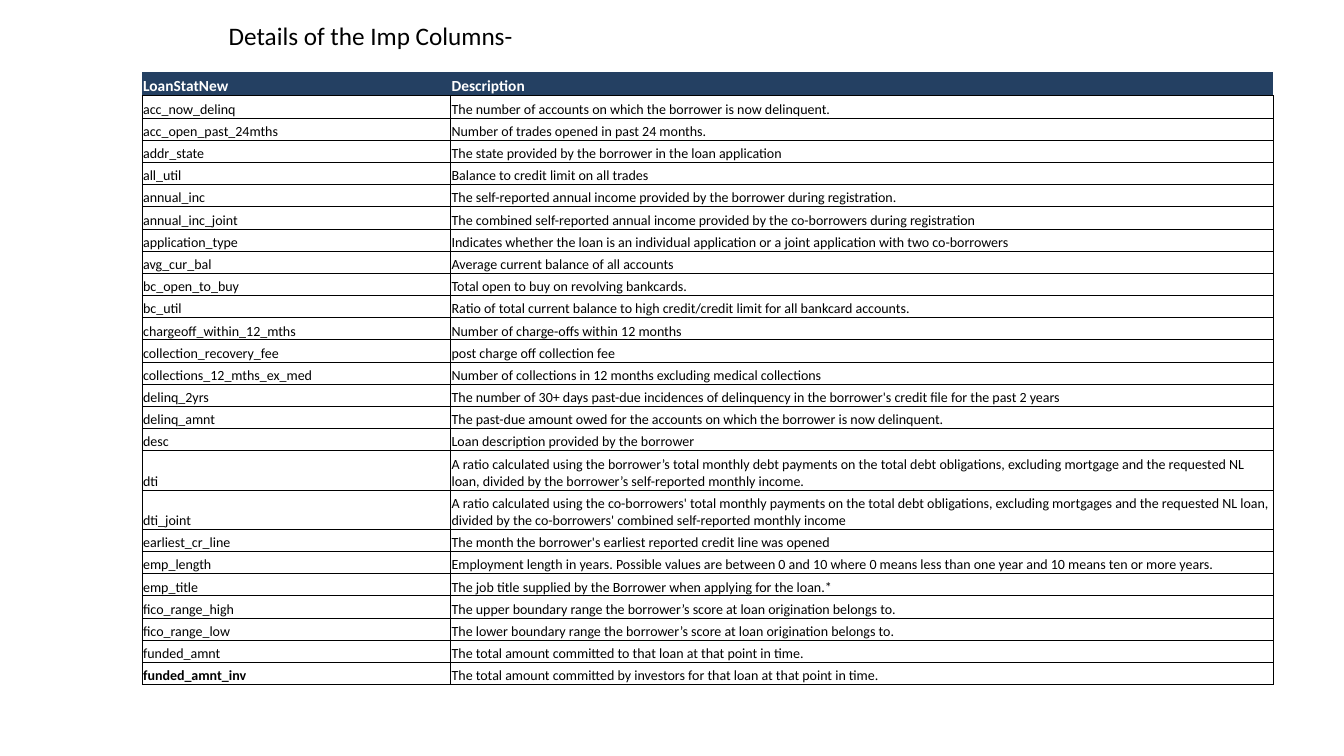
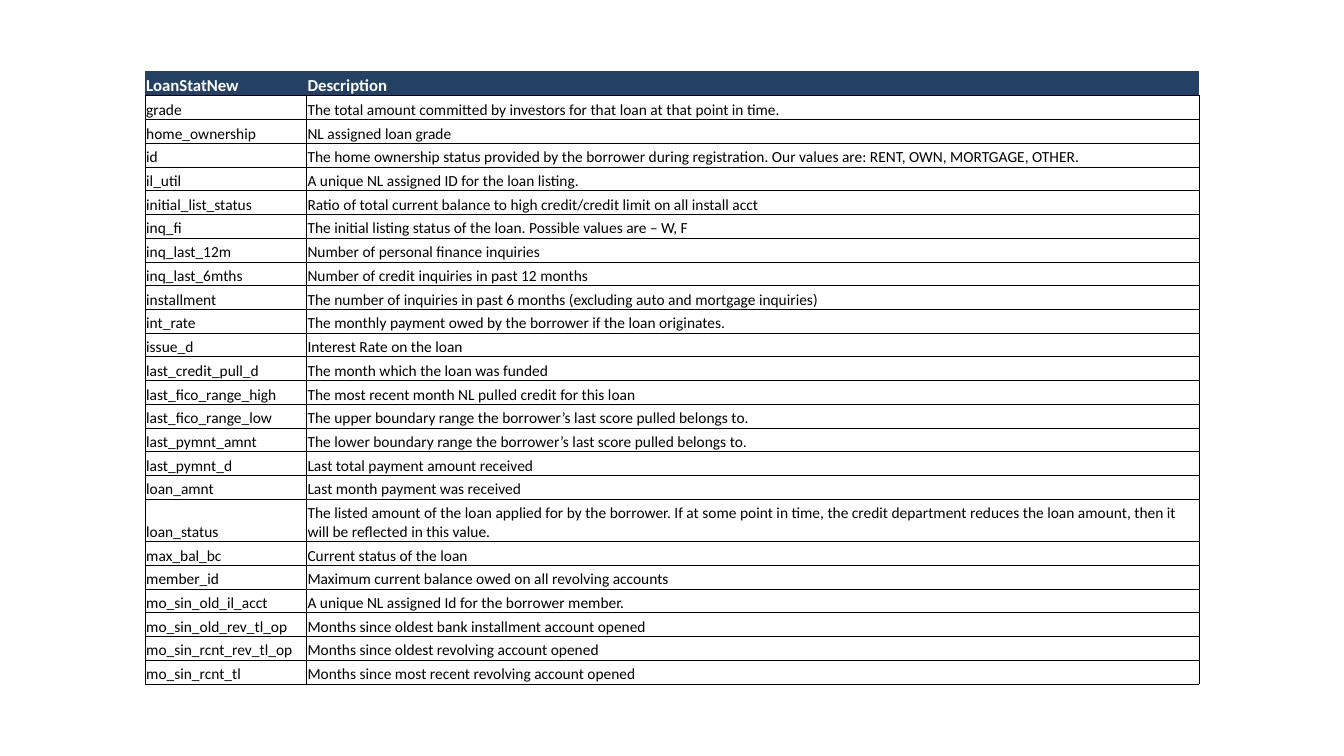
from lxml import etree
from pptx import Presentation
from pptx.dml.color import RGBColor
from pptx.enum.text import MSO_ANCHOR as Anchor
from pptx.oxml.ns import qn
from pptx.util import Inches, Pt

FONT = "Calibri"
NAVY = RGBColor(0x24, 0x40, 0x62)
WHITE = RGBColor(0xFF, 0xFF, 0xFF)
BLACK = RGBColor(0, 0, 0)

HEADER = ("LoanStatNew", "Description")
BOLD_NAMES = {"funded_amnt_inv"}

LOAN_COLUMNS = [
    ("acc_now_delinq", "The number of accounts on which the borrower is now delinquent."),
    ("acc_open_past_24mths", "Number of trades opened in past 24 months."),
    ("addr_state", "The state provided by the borrower in the loan application"),
    ("all_util", "Balance to credit limit on all trades"),
    ("annual_inc", "The self-reported annual income provided by the borrower during registration."),
    ("annual_inc_joint", "The combined self-reported annual income provided by the co-borrowers "
     "during registration"),
    ("application_type", "Indicates whether the loan is an individual application or a joint "
     "application with two co-borrowers"),
    ("avg_cur_bal", "Average current balance of all accounts"),
    ("bc_open_to_buy", "Total open to buy on revolving bankcards."),
    ("bc_util", "Ratio of total current balance to high credit/credit limit for all bankcard accounts."),
    ("chargeoff_within_12_mths", "Number of charge-offs within 12 months"),
    ("collection_recovery_fee", "post charge off collection fee"),
    ("collections_12_mths_ex_med", "Number of collections in 12 months excluding medical collections"),
    ("delinq_2yrs", "The number of 30+ days past-due incidences of delinquency in the borrower's "
     "credit file for the past 2 years"),
    ("delinq_amnt", "The past-due amount owed for the accounts on which the borrower is now delinquent."),
    ("desc", "Loan description provided by the borrower"),
    ("dti", "A ratio calculated using the borrower’s total monthly debt payments on the total debt "
     "obligations, excluding mortgage and the requested NL loan, divided by the borrower’s "
     "self-reported monthly income."),
    ("dti_joint", "A ratio calculated using the co-borrowers' total monthly payments on the total "
     "debt obligations, excluding mortgages and the requested NL loan, divided by the "
     "co-borrowers' combined self-reported monthly income"),
    ("earliest_cr_line", "The month the borrower's earliest reported credit line was opened"),
    ("emp_length", "Employment length in years. Possible values are between 0 and 10 where 0 means "
     "less than one year and 10 means ten or more years."),
    ("emp_title", "The job title supplied by the Borrower when applying for the loan.*"),
    ("fico_range_high", "The upper boundary range the borrower’s score at loan origination belongs to."),
    ("fico_range_low", "The lower boundary range the borrower’s score at loan origination belongs to."),
    ("funded_amnt", "The total amount committed to that loan at that point in time."),
    ("funded_amnt_inv", "The total amount committed by investors for that loan at that point in time."),
]

MORE_COLUMNS = [
    ("grade", "The total amount committed by investors for that loan at that point in time."),
    ("home_ownership", "NL assigned loan grade"),
    ("id", "The home ownership status provided by the borrower during registration. "
     "Our values are: RENT, OWN, MORTGAGE, OTHER."),
    ("il_util", "A unique NL assigned ID for the loan listing."),
    ("initial_list_status", "Ratio of total current balance to high credit/credit limit on all install acct"),
    ("inq_fi", "The initial listing status of the loan. Possible values are – W, F"),
    ("inq_last_12m", "Number of personal finance inquiries"),
    ("inq_last_6mths", "Number of credit inquiries in past 12 months"),
    ("installment", "The number of inquiries in past 6 months (excluding auto and mortgage inquiries)"),
    ("int_rate", "The monthly payment owed by the borrower if the loan originates."),
    ("issue_d", "Interest Rate on the loan"),
    ("last_credit_pull_d", "The month which the loan was funded"),
    ("last_fico_range_high", "The most recent month NL pulled credit for this loan"),
    ("last_fico_range_low", "The upper boundary range the borrower’s last score pulled belongs to."),
    ("last_pymnt_amnt", "The lower boundary range the borrower’s last score pulled belongs to."),
    ("last_pymnt_d", "Last total payment amount received"),
    ("loan_amnt", "Last month payment was received"),
    ("loan_status", "The listed amount of the loan applied for by the borrower. If at some point in "
     "time, the credit department reduces the loan amount, then it will be reflected in this value."),
    ("max_bal_bc", "Current status of the loan"),
    ("member_id", "Maximum current balance owed on all revolving accounts"),
    ("mo_sin_old_il_acct", "A unique NL assigned Id for the borrower member."),
    ("mo_sin_old_rev_tl_op", "Months since oldest bank installment account opened"),
    ("mo_sin_rcnt_rev_tl_op", "Months since oldest revolving account opened"),
    ("mo_sin_rcnt_tl", "Months since most recent revolving account opened"),
]


def style_text(p, size, color, bold=False):
    p.font.name = FONT
    p.font.size = Pt(size)
    p.font.bold = bold
    p.font.color.rgb = color


def set_borders(cell, sides):
    """Draw thin black lines on the given sides and none on the others."""
    tc_pr = cell._tc.get_or_add_tcPr()
    for i, side in enumerate("LRTB"):
        ln = etree.Element(qn(f"a:ln{side}"), w=str(Pt(0.5)))
        if side in sides:
            fill = etree.SubElement(ln, qn("a:solidFill"))
            etree.SubElement(fill, qn("a:srgbClr"), val=str(BLACK))
        else:
            etree.SubElement(ln, qn("a:noFill"))
        tc_pr.insert(i, ln)


def fill_cell(cell, text, size, color, fill, bold, sides):
    cell.margin_left = cell.margin_right = cell.margin_top = Inches(0.01)
    cell.margin_bottom = 0
    cell.vertical_anchor = Anchor.BOTTOM
    cell.fill.solid()
    cell.fill.fore_color.rgb = fill
    set_borders(cell, sides)
    p = cell.text_frame.paragraphs[0]
    p.text = text
    style_text(p, size, color, bold)


def add_title(s, text, left, top, width, height):
    tf = s.shapes.add_textbox(Inches(left), Inches(top), Inches(width), Inches(height)).text_frame
    tf.word_wrap = True
    p = tf.paragraphs[0]
    p.text = text
    style_text(p, 18, BLACK)


def add_dictionary(s, rows, box, name_width, size, header_height, tall_height, tall_names):
    """Two-column table; the one-line rows share the height left by the others."""
    left, top, width, height = box
    table = s.shapes.add_table(len(rows) + 1, 2, Inches(left), Inches(top),
                               Inches(width), Inches(height)).table
    table.first_row = True
    table.horz_banding = False
    table.columns[0].width = Inches(name_width)
    table.columns[1].width = Inches(width - name_width)

    # Header row
    table.rows[0].height = Inches(header_height)
    for col, text in enumerate(HEADER):
        fill_cell(table.cell(0, col), text, size + 1, WHITE, NAVY, True, "B")

    # Body rows
    rest = height - header_height - tall_height * len(tall_names)
    row_height = rest / (len(rows) - len(tall_names))
    for i, (name, description) in enumerate(rows, 1):
        table.rows[i].height = Inches(tall_height if name in tall_names else row_height)
        fill_cell(table.cell(i, 0), name, size, BLACK, WHITE, name in BOLD_NAMES, "LRTB")
        fill_cell(table.cell(i, 1), description, size, BLACK, WHITE, False, "LRTB")


def main():
    prs = Presentation()
    prs.slide_width, prs.slide_height = Inches(13.33), Inches(7.5)
    blank = prs.slide_layouts[6]

    # Slide 1: first half of the columns
    s = prs.slides.add_slide(blank)
    add_dictionary(s, LOAN_COLUMNS, (1.41, 0.71, 11.22, 6.09), 3.06, 10,
                   0.24, 0.39, {"dti", "dti_joint"})
    add_title(s, "Details of the Imp Columns-", 2.17, 0.15, 3.74, 0.4)

    # Slide 2: remaining columns
    s = prs.slides.add_slide(blank)
    add_dictionary(s, MORE_COLUMNS, (1.44, 0.7, 10.45, 6.09), 1.6, 11,
                   0.25, 0.42, {"loan_status"})

    prs.save("out.pptx")


if __name__ == "__main__":
    main()
